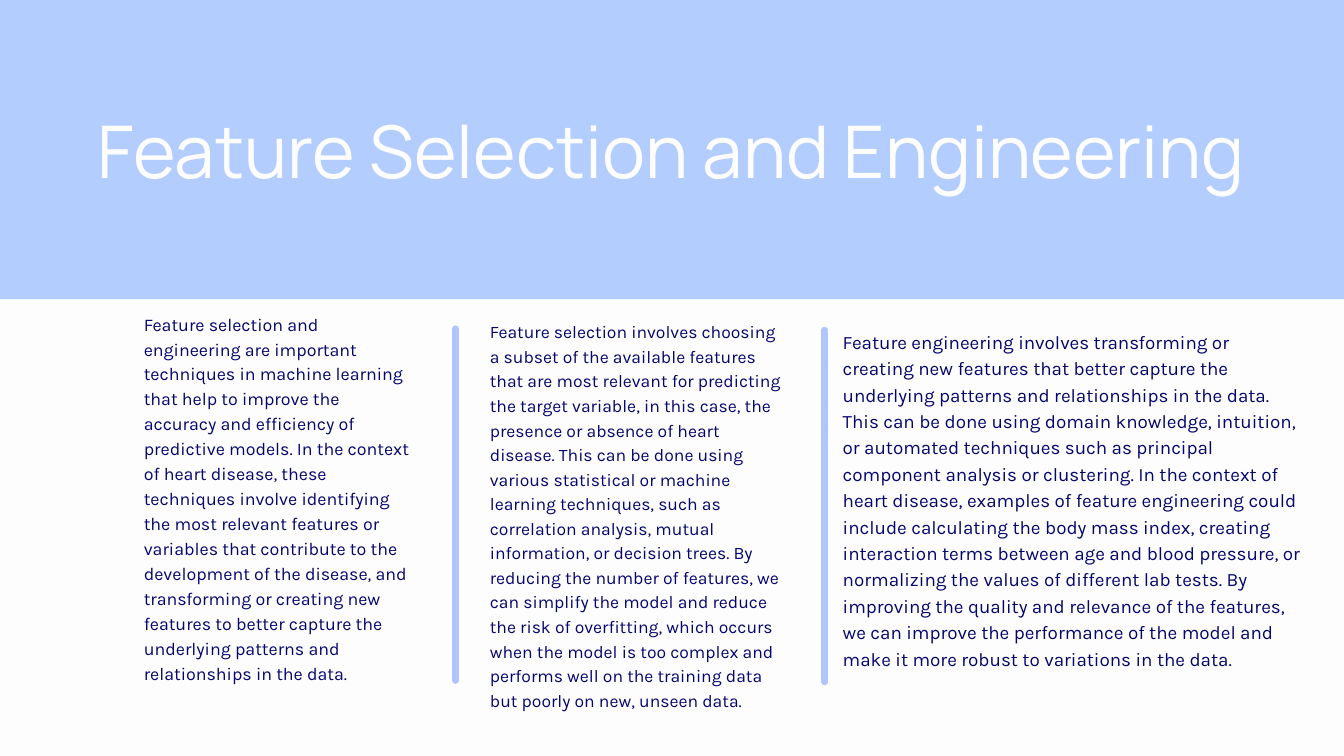
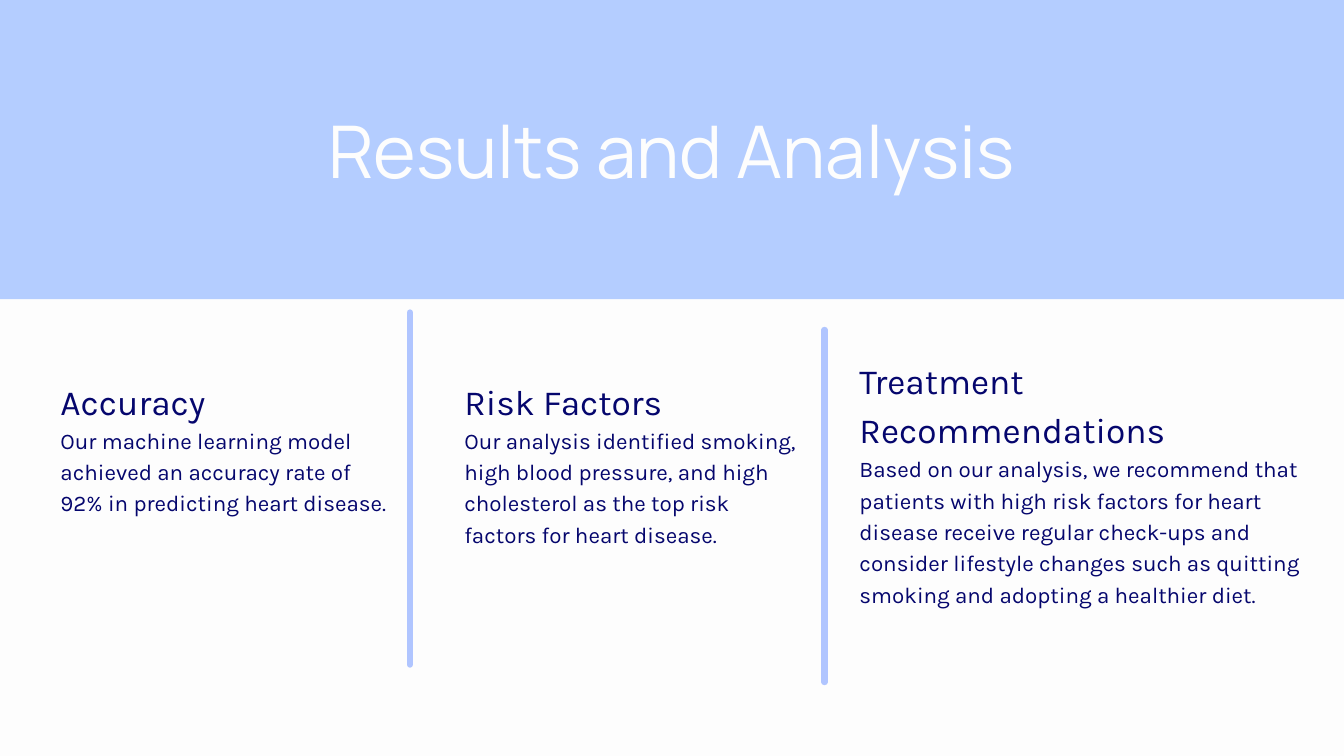
"""Build two slides that share a title band and three text columns."""
from dataclasses import dataclass

from lxml.etree import SubElement
from pptx import Presentation
from pptx.dml.color import RGBColor
from pptx.enum.shapes import MSO_CONNECTOR, MSO_SHAPE
from pptx.enum.text import MSO_AUTO_SIZE, PP_ALIGN
from pptx.oxml.ns import qn
from pptx.util import Inches, Pt


@dataclass(frozen=True)
class Theme:
    """Colours, fonts and type sizes of the presentation."""

    paper: RGBColor = RGBColor.from_string("FDFDFD")
    band: RGBColor = RGBColor.from_string("B4CDFF")
    rule: RGBColor = RGBColor.from_string("B0C5FF")
    ink: RGBColor = RGBColor.from_string("05066D")
    title_font: str = "Manrope"
    body_font: str = "Karla"
    title_size: float = 77.8
    heading_size: float = 37.8
    body_size: float = 24
    leading: float = 1.4
    rule_width: float = 6.75


THEME = Theme()
SLIDE_WIDTH, SLIDE_HEIGHT = 20, 11.25
BAND_HEIGHT = 4.45
RULE_LENGTH = 5.24


def write(paragraph, text, *, size, font=THEME.body_font, color=THEME.ink,
          align=PP_ALIGN.LEFT):
    """Put formatted text in a paragraph, with leading in proportion to its size."""
    paragraph.alignment = align
    paragraph.line_spacing = Pt(round(size * THEME.leading, 1))
    run = paragraph.add_run()
    run.text = text
    run.font.name = font
    run.font.size = Pt(size)
    run.font.color.rgb = color


class Deck:
    """Holds the style and the current slide."""

    def __init__(self, theme):
        """Start an empty presentation in the given theme."""
        self.theme = theme
        self.presentation = Presentation()
        self.presentation.slide_width = Inches(SLIDE_WIDTH)
        self.presentation.slide_height = Inches(SLIDE_HEIGHT)
        self.slide = None

    def add_slide(self, title, rules):
        """Add a slide with the title band and its column rules."""
        self.slide = self.presentation.slides.add_slide(self.presentation.slide_layouts[6])
        background = self.slide.background.fill
        background.solid()
        background.fore_color.rgb = self.theme.paper
        self.add_band()
        for x, top in rules:
            self.add_rule(x, top)
        self.add_text(0.27, 1.36, 19.44, 1.53, [(title, self.theme.title_size)],
                      font=self.theme.title_font, color=self.theme.paper,
                      align=PP_ALIGN.CENTER)

    def add_band(self):
        """Fill the top of the slide with the band colour."""
        band = self.slide.shapes.add_shape(
            MSO_SHAPE.RECTANGLE, 0, 0, Inches(SLIDE_WIDTH), Inches(BAND_HEIGHT))
        band.shadow.inherit = False
        band.fill.solid()
        band.fill.fore_color.rgb = self.theme.band
        band.line.fill.background()

    def add_rule(self, x, top):
        """Draw a vertical rule with round ends."""
        rule = self.slide.shapes.add_connector(
            MSO_CONNECTOR.STRAIGHT, Inches(x), Inches(top), Inches(x),
            Inches(top + RULE_LENGTH))
        rule.line.color.rgb = self.theme.rule
        rule.line.width = Pt(self.theme.rule_width)
        properties = rule.line._get_or_add_ln()
        properties.set("cap", "rnd")
        SubElement(properties.getparent(), qn("a:effectLst"))

    def add_text(self, left, top, width, height, paragraphs, **style):
        """Add a text box from pairs of text and size."""
        box = self.slide.shapes.add_textbox(
            Inches(left), Inches(top), Inches(width), Inches(height))
        frame = box.text_frame
        frame.word_wrap = True
        frame.auto_size = MSO_AUTO_SIZE.SHAPE_TO_FIT_TEXT
        frame.margin_left = frame.margin_right = 0
        frame.margin_top = frame.margin_bottom = 0
        for index, (text, size) in enumerate(paragraphs):
            paragraph = frame.add_paragraph() if index else frame.paragraphs[0]
            write(paragraph, text, size=size, **style)

    def add_finding(self, left, top, width, height, heading, body):
        """Add a heading with its text below."""
        self.add_text(left, top, width, height,
                      [(heading, self.theme.heading_size), (body, self.theme.body_size)])


FEATURE_COLUMNS = [
    ((2.14, 4.61, 4, 5.94), 19.1,
     "Feature selection and engineering are important techniques in machine learning "
     "that help to improve the accuracy and efficiency of predictive models. In the "
     "context of heart disease, these techniques involve identifying the most relevant "
     "features or variables that contribute to the development of the disease, and "
     "transforming or creating new features to better capture the underlying patterns "
     "and relationships in the data."),
    ((7.29, 4.73, 4.34, 6.19), 18.8,
     "Feature selection involves choosing a subset of the available features that are "
     "most relevant for predicting the target variable, in this case, the presence or "
     "absence of heart disease. This can be done using various statistical or machine "
     "learning techniques, such as correlation analysis, mutual information, or decision "
     "trees. By reducing the number of features, we can simplify the model and reduce "
     "the risk of overfitting, which occurs when the model is too complex and performs "
     "well on the training data but poorly on new, unseen data."),
    ((12.54, 4.86, 6.81, 5.39), 20.2,
     "Feature engineering involves transforming or creating new features that better "
     "capture the underlying patterns and relationships in the data. This can be done "
     "using domain knowledge, intuition, or automated techniques such as principal "
     "component analysis or clustering. In the context of heart disease, examples of "
     "feature engineering could include calculating the body mass index, creating "
     "interaction terms between age and blood pressure, or normalizing the values of "
     "different lab tests. By improving the quality and relevance of the features, we "
     "can improve the performance of the model and make it more robust to variations "
     "in the data."),
]

FINDINGS = [
    ((0.9, 5.55, 5.02, 3.01), "Accuracy",
     "Our machine learning model achieved an accuracy rate of 92% in predicting heart "
     "disease."),
    ((6.91, 5.55, 5.02, 3.01), "Risk Factors",
     "Our analysis identified smoking, high blood pressure, and high cholesterol as the "
     "top risk factors for heart disease."),
    ((12.79, 5.24, 6.77, 4.65), "Treatment Recommendations",
     "Based on our analysis, we recommend that patients with high risk factors for heart "
     "disease receive regular check-ups and consider lifestyle changes such as quitting "
     "smoking and adopting a healthier diet."),
]


def main():
    """Build both slides and save the presentation."""
    deck = Deck(THEME)
    right_rule = (12.27, 4.91)

    deck.add_slide("Feature Selection and Engineering", [(6.78, 4.89), right_rule])
    for place, size, text in FEATURE_COLUMNS:
        deck.add_text(*place, [(text, size)])

    deck.add_slide("Results and Analysis", [(6.1, 4.65), right_rule])
    for place, heading, body in FINDINGS:
        deck.add_finding(*place, heading, body)

    deck.presentation.save("out.pptx")


if __name__ == "__main__":
    main()
